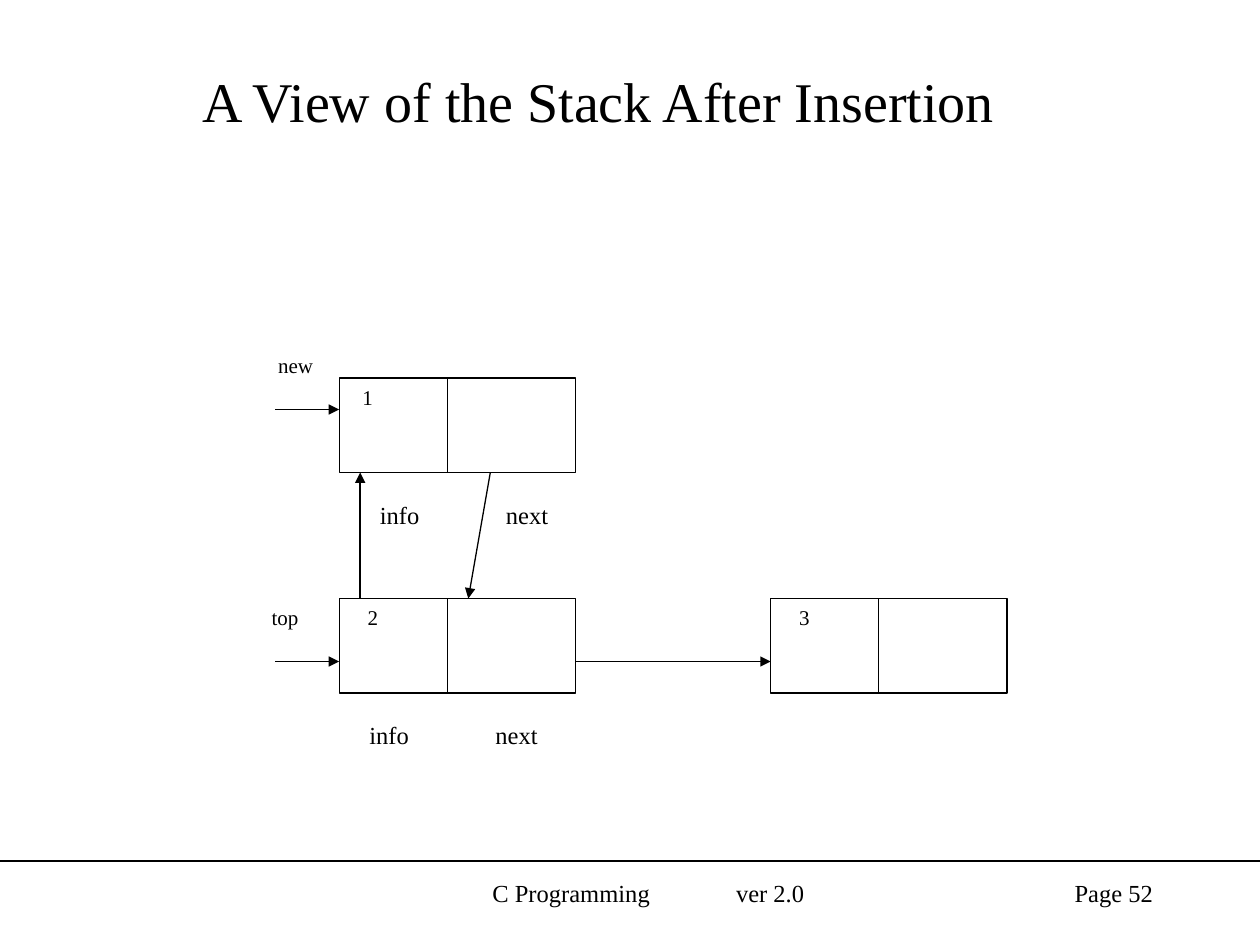
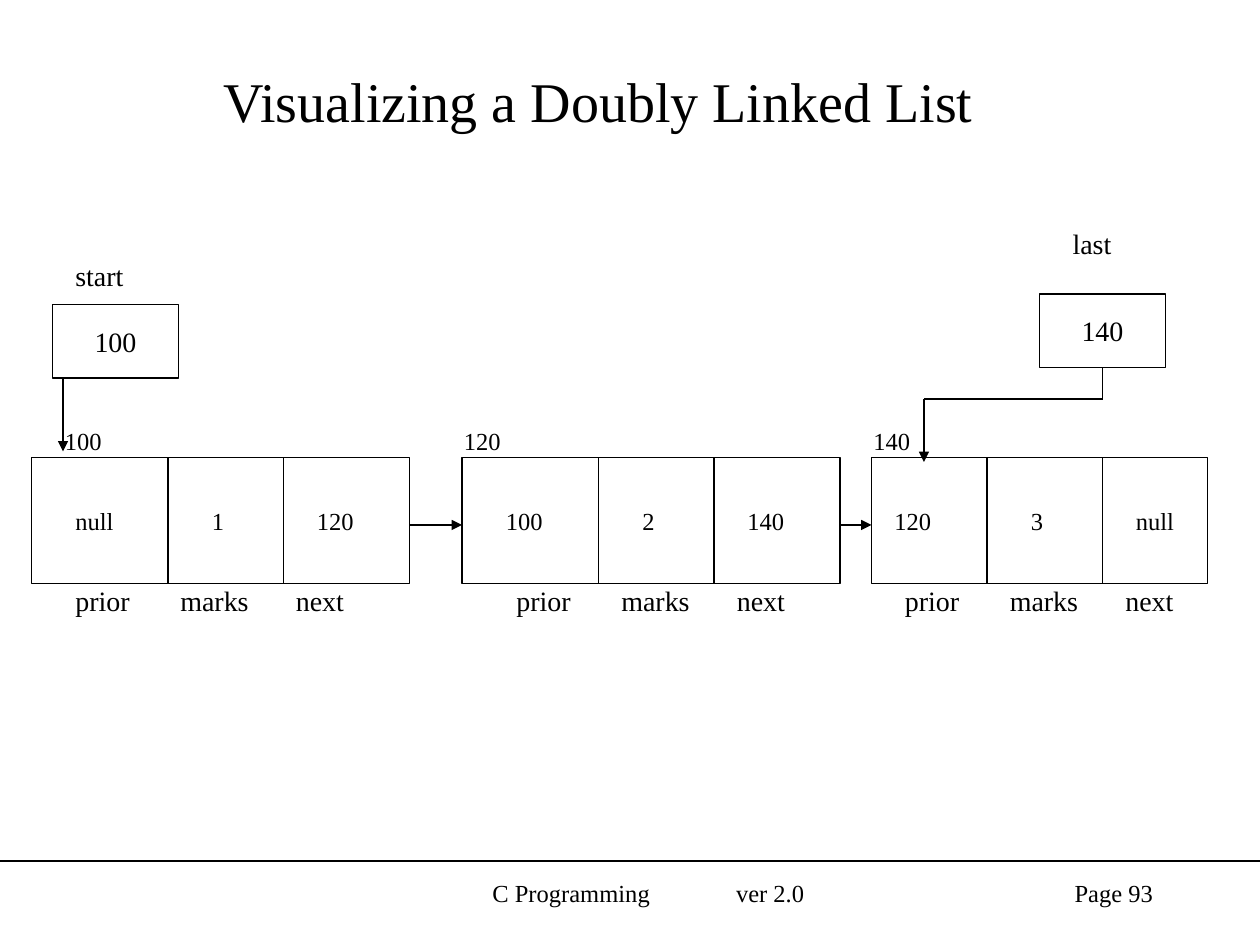
"""Build two slides on linked structures: a stack insertion and a doubly linked list."""
from dataclasses import dataclass

from lxml import etree
from pptx import Presentation, util as u
from pptx.dml.color import RGBColor
from pptx.enum import shapes, text
from pptx.oxml import ns


@dataclass(frozen=True)
class Theme:
    ink: RGBColor = RGBColor(0, 0, 0)
    paper: RGBColor = RGBColor(255, 255, 255)
    font: str = "Times New Roman"
    title: int = 32
    field: int = 16
    body: int = 14
    small: int = 12
    line: float = 0.75


PX = 7620
THEME = Theme()
LEFT, CENTER, RIGHT = text.PP_ALIGN.LEFT, text.PP_ALIGN.CENTER, text.PP_ALIGN.RIGHT
TOP, MIDDLE = text.MSO_ANCHOR.TOP, text.MSO_ANCHOR.MIDDLE


def write(box, words, size, align=LEFT, **changes):
    frame = box.text_frame
    layout = {"word_wrap": True, "vertical_anchor": TOP, "margin_left": 12 * PX,
              "margin_right": 12 * PX, "margin_top": 6 * PX, "margin_bottom": 6 * PX}
    for name, value in (layout | changes).items():
        setattr(frame, name, value)
    para = frame.paragraphs[0]
    para.alignment = align
    span = para.add_run()
    span.text = words
    for name, value in {"name": THEME.font, "size": u.Pt(size)}.items():
        setattr(span.font, name, value)
    span.font.color.rgb = THEME.ink
    return para


def link(page, start, end, arrow=False):
    ends = [value * PX for value in (*start, *end)]
    line = page.shapes.add_connector(shapes.MSO_CONNECTOR.STRAIGHT, *ends)
    line.line.color.rgb = THEME.ink
    line.line.width = u.Pt(THEME.line)
    if arrow:
        stroke = line.line._get_or_add_ln()
        etree.SubElement(stroke, ns.qn("a:tailEnd"), type="triangle")
    etree.SubElement(line.element.spPr, ns.qn("a:effectLst"))
    return line


deck = Presentation()
deck.slide_width, deck.slide_height = 1200 * PX, 900 * PX
stack, doubly = pages = [deck.slides.add_slide(deck.slide_layouts[5]) for _ in range(2)]

rule = link(stack, (0, 820), (1200, 820))
rule.element.xpath(".//p:cNvPr")[0].set("id", "20")
deck.slide_master.shapes.element.append(rule.element)

headings = [("A View of the Stack After Insertion", 52), ("Visualizing a Doubly Linked List", 93)]
for page, (heading, number) in zip(pages, headings):
    title = page.shapes.title
    place = {"left": 60, "top": 30, "width": 1020, "height": 130}
    for name, value in place.items():
        setattr(title, name, value * PX)
    write(title, heading, THEME.title, CENTER, vertical_anchor=MIDDLE)

    course = page.shapes.add_textbox(410 * PX, 830 * PX, 410 * PX, 60 * PX)
    para = write(course, "C Programming\tver 2.0", THEME.body, margin_left=59 * PX)
    tabs = etree.SubElement(para._p.get_or_add_pPr(), ns.qn("a:tabLst"))
    etree.SubElement(tabs, ns.qn("a:tab"), pos=str(232 * PX), algn="l")

    folio = page.shapes.add_textbox(860 * PX, 830 * PX, 250 * PX, 60 * PX)
    write(folio, f"Page {number}", THEME.body, RIGHT)

NODE_WIDTH, NODE_HEIGHT, NODE_SPLIT = 225, 90, 103
stack_nodes = [(323, 360, "1", 22), (323, 570, "2", 27), (734, 570, "3", 27)]
list_top, list_height = 436, 120
list_nodes = [
    (30, 360, (130, 240), 60, 90, 50, "100", ("null", "1", "120")),
    (440, 360, (130, 240), 480, 100, 430, "120", ("100", "2", "140")),
    (830, 320, (110, 220), 850, 90, 820, "140", ("120", "3", "null")),
]
value_starts = (60, 470, 840)

centred = {"align": CENTER}
pointer = {"align": CENTER, "vertical_anchor": MIDDLE, "word_wrap": False}
rectangles = [
    (stack, (240, 330, 83, 90), "new", THEME.small, False, centred),
    (stack, (220, 570, 103, 90), "top", THEME.small, False, centred),
    (doubly, (50, 290, 120, 70), "100", THEME.field, True, pointer),
    (doubly, (990, 280, 120, 70), "140", THEME.field, True, pointer),
]
for left, top, value, inset in stack_nodes:
    rectangles.append((stack, (left, top, NODE_WIDTH, NODE_HEIGHT), value, THEME.small, True,
                       {"margin_left": inset * PX}))
for left, width, *_ in list_nodes:
    rectangles.append((doubly, (left, list_top, width, list_height), "", THEME.body, True, {}))

for page, place, words, size, outlined, layout in rectangles:
    box = page.shapes.add_shape(shapes.MSO_SHAPE.RECTANGLE, *[value * PX for value in place])
    box.shadow.inherit = False
    if page is stack:
        box.fill.solid()
        box.fill.fore_color.rgb = THEME.paper
    else:
        box.fill.background()
    if outlined:
        box.line.color.rgb = THEME.ink
        box.line.width = u.Pt(THEME.line)
    else:
        box.line.fill.background()
    if words:
        write(box, words, size, **layout)

for left, top, *_ in stack_nodes:
    link(stack, (left + NODE_SPLIT, top), (left + NODE_SPLIT, top + NODE_HEIGHT))
for left, width, splits, *_ in list_nodes:
    for split in splits:
        link(doubly, (left + split, list_top), (left + split, list_top + list_height))

arrows = [
    (stack, (262, 390), (323, 390)),
    (stack, (262, 630), (323, 630)),
    (stack, (548, 630), (734, 630)),
    (stack, (467, 450), (446, 570)),
    (stack, (343, 570), (343, 450)),
    (doubly, (60, 360), (60, 430)),
    (doubly, (390, 500), (440, 500)),
    (doubly, (800, 500), (830, 500)),
    (doubly, (880, 380), (880, 440)),
]
for page, start, end in arrows:
    link(page, start, end, arrow=True)
link(doubly, (1050, 350), (1050, 380))
link(doubly, (1050, 380), (880, 380))

labels = [
    (doubly, "start", (60, 240, 120, 44), THEME.field, LEFT),
    (doubly, "last", (980, 210, 120, 44), THEME.field, CENTER),
]
for left, top in ((350, 470), (340, 680)):
    for column, field in enumerate(("info", "next")):
        labels.append((stack, field, (left + 120 * column, top, 80, 41), THEME.body, LEFT))
for node, value_left in zip(list_nodes, value_starts):
    _, _, _, field_left, marks_width, address_left, address, values = node
    labels.append((doubly, address, (address_left, 400, 70, 41), THEME.body, LEFT))
    for value, offset in zip(values, (0, 130, 230)):
        labels.append((doubly, value, (value_left + offset, 476, 70, 41), THEME.body, LEFT))
    fields = [("prior", 0, 80), ("marks", 100, marks_width), ("next", 210, 80)]
    for field, offset, width in fields:
        labels.append((doubly, field, (field_left + offset, 550, width, 44), THEME.field, LEFT))

for page, words, place, size, align in labels:
    box = page.shapes.add_textbox(*[value * PX for value in place])
    write(box, words, size, align)

deck.save("out.pptx")
